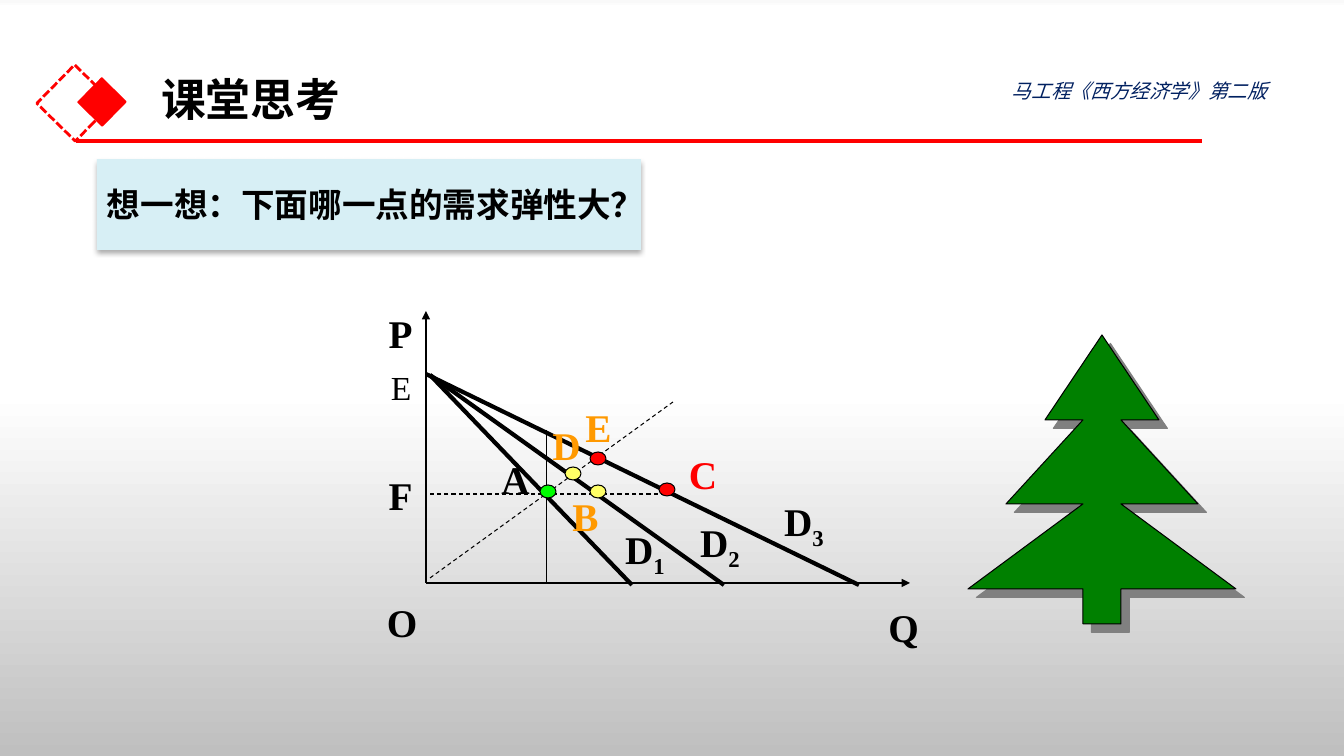
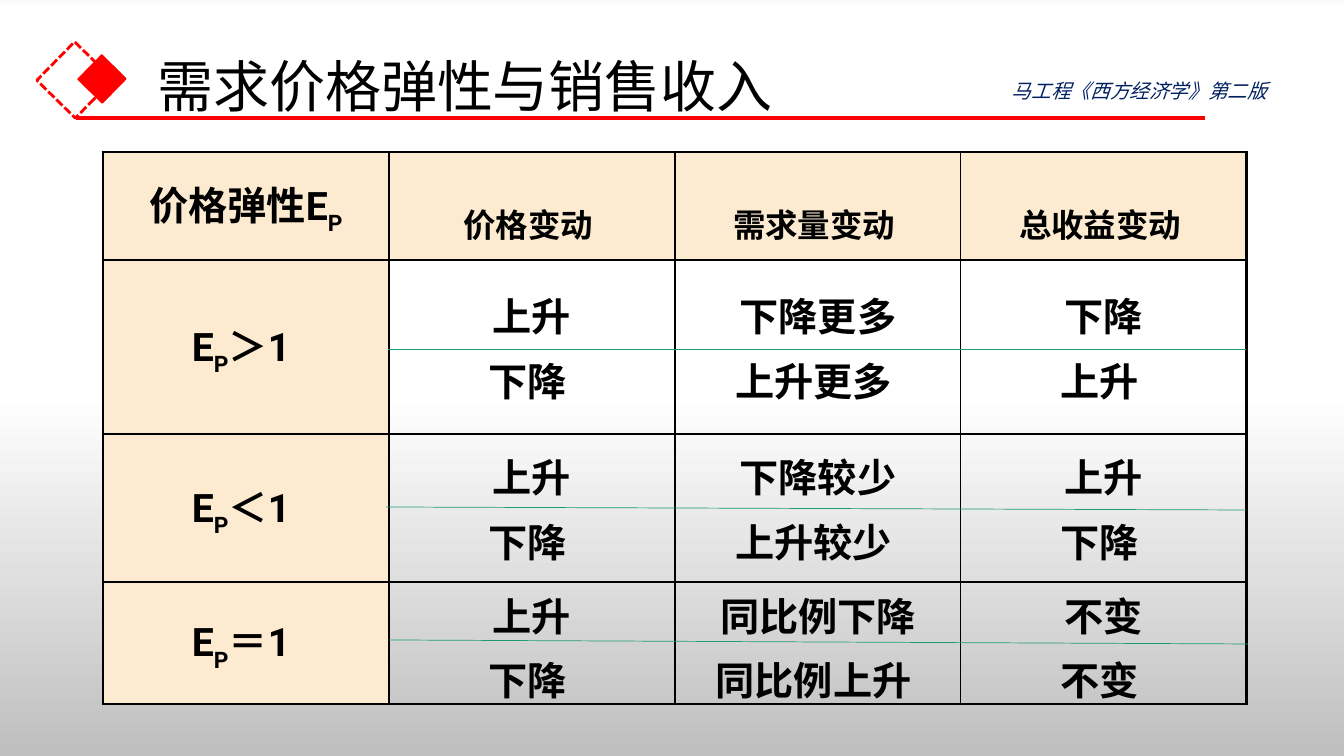
import lxml.etree
import pptx
import pptx.dml.color
import pptx.enum.dml
import pptx.enum.shapes
import pptx.enum.text
import pptx.oxml.ns
import pptx.util

PX = 914400 / 100.8
COLORS = {
    "black": "000000", "red": "FF0000", "orange": "FF9900", "yellow": "FFFF66",
    "lime": "00FF00", "tree": "008000", "tree shadow": "808080", "navy": "002060",
    "question": "D7EFF5", "cream": "FCEBD1", "divider": "1D9A78",
}
BACKDROP = [(0, "F9F9F9"), (1, "FFFFFF"), (52, "FFFFFF"), (100, "BFBFBF")]
HAN, SERIF, TABLE_FONT = "Noto Sans CJK SC", "Times New Roman", "Roboto"
SHAPE = pptx.enum.shapes.MSO_SHAPE
DASH = pptx.enum.dml.MSO_LINE
ALIGN = pptx.enum.text.PP_ALIGN
ANCHOR = pptx.enum.text.MSO_ANCHOR
Pt = pptx.util.Pt


def px(*lengths):
    return [pptx.util.Emu(round(length * PX)) for length in lengths]


def rgb(name):
    return pptx.dml.color.RGBColor.from_string(COLORS[name])


def sub(parent, tag, **attributes):
    """Append a child element in the DrawingML namespace."""
    return lxml.etree.SubElement(parent, pptx.oxml.ns.qn("a:" + tag), attributes)


def write(paragraph, pieces, size, font=HAN, color="black", bold=False,
          italic=False, align=ALIGN.LEFT, drop=-25):
    """Fill a paragraph; every second piece is a subscript lowered by drop percent."""
    paragraph.alignment = align
    for index, piece in enumerate(pieces):
        if not piece:
            continue
        run = paragraph.add_run()
        run.text = piece
        run.font.size, run.font.name = Pt(size), font
        run.font.bold, run.font.italic = bold, italic
        run.font.color.rgb = rgb(color)
        properties = run.font._element
        if index % 2:
            properties.set("baseline", str(drop * 1000))
        sub(properties, "ea", typeface=HAN)


def text_box(slide, box, pieces, size, wrap=True, anchor=ANCHOR.TOP, **style):
    frame = slide.shapes.add_textbox(*px(*box)).text_frame
    frame.word_wrap = wrap
    frame.vertical_anchor = anchor
    write(frame.paragraphs[0], pieces, size, **style)


def paint(shape, fill=None, line=None, width=0.75, dash=None):
    shape.shadow.inherit = False
    if fill:
        shape.fill.solid()
        shape.fill.fore_color.rgb = rgb(fill)
    else:
        shape.fill.background()
    if line:
        shape.line.color.rgb = rgb(line)
        shape.line.width = Pt(width)
        shape.line.dash_style = dash
    else:
        shape.line.fill.background()
    return shape


def cast_shadow(shape, color, opacity, blur, distance, angle):
    effects = shape._element.spPr.find(pptx.oxml.ns.qn("a:effectLst"))
    shadow = sub(effects, "outerShdw", blurRad=str(Pt(blur)), dist=str(Pt(distance)),
                 dir=str(angle * 60000), algn="ctr", rotWithShape="0")
    tint = sub(shadow, "srgbClr", val=COLORS[color])
    sub(tint, "alpha", val=str(opacity * 1000))


def draw_line(slide, start, end, width, color="black", dash=None, arrow=False):
    connector = slide.shapes.add_connector(
        pptx.enum.shapes.MSO_CONNECTOR.STRAIGHT, *px(*start, *end))
    connector.line.color.rgb = rgb(color)
    connector.line.width = Pt(width)
    connector.line.dash_style = dash
    if arrow:
        sub(connector.line._get_or_add_ln(), "tailEnd", type="triangle")
    sub(connector._element.spPr, "effectLst")


def set_backdrop(master):
    fill = master.background.fill
    fill.gradient()
    fill.gradient_angle = 270
    stops = master.element.find(".//" + pptx.oxml.ns.qn("a:gsLst"))
    for stop in list(stops):
        stops.remove(stop)
    for position, color in BACKDROP:
        sub(sub(stops, "gs", pos=str(position * 1000)), "srgbClr", val=color)


def add_header(slide, title, title_box, rule_right, rule_y, size, **style):
    """Place the title, the two diamonds above the red rule, and the book name."""
    heading = slide.shapes.title
    heading.left, heading.top, heading.width, heading.height = px(*title_box)
    frame = heading.text_frame
    frame.auto_size = pptx.enum.text.MSO_AUTO_SIZE.NONE
    frame.word_wrap = True
    frame.vertical_anchor = ANCHOR.MIDDLE
    write(frame.paragraphs[0], [title], size, **style)
    for left, rise, side, fill, width, dash in (
            (48, 65, 54, None, 2, DASH.SQUARE_DOT), (85, 56, 34, "red", 1, None)):
        diamond = slide.shapes.add_shape(
            SHAPE.RECTANGLE, *px(left, rule_y - rise, side, side))
        paint(diamond, fill, "red", width, dash).rotation = 314.5
    draw_line(slide, (76, rule_y), (rule_right, rule_y), 2.25, "red")
    text_box(slide, (1002, 74, 327, 34), ["马工程《西方经济学》第二版"], 14,
             color="navy", italic=True)


def add_question(slide, box):
    question = paint(slide.shapes.add_shape(SHAPE.RECTANGLE, *px(*box)), "question")
    cast_shadow(question, "black", 32, 3.5, 2.2, 90)
    frame = question.text_frame
    frame.word_wrap = True
    frame.margin_right = 0
    frame.vertical_anchor = ANCHOR.MIDDLE
    write(frame.paragraphs[0], ["想一想：下面哪一点的需求弹性大？"], 24, bold=True)


def add_demand_chart(slide, left, top, width, height):
    """Draw the price and quantity axes in the box, with the curves inside."""
    def at(x, y):
        return left + x, top + y

    def label(pieces, x, y, box_width, color="black", anchor=ANCHOR.TOP):
        text_box(slide, (*at(x, y), box_width, 57), pieces, 28, anchor=anchor,
                 font=SERIF, color=color, bold=True, align=ALIGN.CENTER)

    origin = at(0, height)
    draw_line(slide, origin, at(0, 0), 1.5, arrow=True)
    draw_line(slide, origin, at(width, height), 1.5, arrow=True)
    for start_x, start_y, foot in ((0, 63, 433), (4, 64, 206), (4, 64, 298)):
        draw_line(slide, at(start_x, start_y), at(foot, height + 2), 3)
    draw_line(slide, at(239, 183), at(4, 183), 0.75, dash=DASH.DASH)
    draw_line(slide, at(4, 267), at(247, 91), 0.75, dash=DASH.DASH)
    draw_line(slide, at(121, 119), at(121, height), 0.75)

    for pieces, x, y, box_width in (
            ("Q", 448, 287, 59), ("P", -55, -7, 59), ("O", -54, 282, 60),
            ("A", 60, 139, 59), ("F", -52, 155, 53)):
        label([pieces], x, y, box_width)
    for number, x, y in (("1", 181, 213), ("2", 256, 206), ("3", 340, 185)):
        label(["D", number], x, y, 76, anchor=ANCHOR.MIDDLE)
    label(["C"], 239, 134, 76, "red", ANCHOR.MIDDLE)
    for letter, x, y in (("B", 130, 176), ("D", 111, 105), ("E", 143, 87)):
        label([letter], x, y, 59, "orange")
    text_box(slide, (*at(-45, 51), 41, 50), ["E"], 24, wrap=False, font=SERIF)

    for color, x, y in (("lime", 114, 174), ("yellow", 164, 174), ("red", 233, 172),
                        ("yellow", 139, 156), ("red", 164, 141)):
        paint(slide.shapes.add_shape(SHAPE.OVAL, *px(*at(x, y), 16, 13)), color, "black")


def add_tree(slide, left, top, width, height):
    """Draw three tiers, 3, 5 and 7 units to each side, on a trunk of one unit."""
    unit, tier, center = width / 14, height * 0.293, left + width / 2
    side = [(0, 0)]
    for level, reach in enumerate((3, 5, 7), 1):
        side += [(reach * unit, level * tier), (unit, level * tier)]
    side.append((unit, height))
    outline = [(center + x, top + y) for x, y in side]
    outline += [(center - x, top + y) for x, y in reversed(side[1:])]
    builder = slide.shapes.build_freeform(*outline[0], scale=PX)
    builder.add_line_segments(outline[1:], close=True)
    tree = paint(builder.convert_to_shape(), "tree", "black")
    cast_shadow(tree, "tree shadow", 100, 0, 8.5, 45)


def set_borders(cell, row, column, last_row, last_column):
    outer = {"lnL": column == 0, "lnR": column == last_column,
             "lnT": row == 0, "lnB": row == last_row}
    for tag, is_outer in outer.items():
        edge = sub(cell._tc.get_or_add_tcPr(), tag, w=str(Pt(2.25 if is_outer else 1)))
        sub(sub(edge, "solidFill"), "srgbClr", val=COLORS["black"])


def add_revenue_table(slide, left, top, column_width, row_heights):
    changes = [
        ("＞1 ", ("上升", "下降 "), ("下降更多", "上升更多 "), ("下降", "上升 ")),
        ("＜1 ", ("上升", "下降 "), ("下降较少", "上升较少 "), ("上升", "下降 ")),
        ("＝1 ", ("上升", "下降 "), ("同比例下降", "同比例上升 "), ("不变", "不变 ")),
    ]
    # Each cell is a list of paragraphs, each paragraph a list of pieces
    rows = [[[["价格弹性E", "P"]], [["", "价格变动 "]],
             [["", "需求量变动 "]], [["", "总收益变动 "]]]]
    for relation, *cells in changes:
        rows.append([[["E", "P", relation]]] + [[[line] for line in cell] for cell in cells])

    table = slide.shapes.add_table(
        len(rows), len(rows[0]),
        *px(left, top, column_width * len(rows[0]), sum(row_heights))).table
    table.first_row = table.horz_banding = False
    for column in table.columns:
        column.width = px(column_width)[0]
    for r, (row, height) in enumerate(zip(rows, row_heights)):
        table.rows[r].height = px(height)[0]
        for c, lines in enumerate(row):
            cell = table.cell(r, c)
            column_head = r == 0 and c > 0
            set_borders(cell, r, c, len(rows) - 1, len(row) - 1)
            if r == 0 or c == 0:
                cell.fill.solid()
                cell.fill.fore_color.rgb = rgb("cream")
            else:
                cell.fill.background()
            cell.margin_left, cell.margin_right = px(10, 10)
            cell.margin_top, cell.margin_bottom = px(4, 4)
            cell.vertical_anchor = ANCHOR.TOP if column_head else ANCHOR.MIDDLE
            size = 40 if column_head else 28
            frame = cell.text_frame
            for index, pieces in enumerate(lines):
                paragraph = frame.add_paragraph() if index else frame.paragraphs[0]
                paragraph.space_before = Pt(size * 0.2)
                write(paragraph, pieces, size, font=TABLE_FONT, bold=True,
                      align=ALIGN.CENTER, drop=-30)


def build_question_slide(slide):
    add_header(slide, "课堂思考", (151, 66, 295, 65), 1202, 141, 32, bold=True)
    add_question(slide, (97, 159, 544, 91))
    add_demand_chart(slide, 426, 311, 484, 272)
    add_tree(slide, 968, 335, 268, 289)


def build_revenue_slide(slide):
    add_header(slide, "需求价格弹性与销售收入", (0, 45, 930, 81), 1205, 118, 40,
               align=ALIGN.CENTER)
    add_revenue_table(slide, 103, 152, 286, [108, 174, 148, 122])
    for start, end in (((388, 349), (1246, 349)), ((386, 507), (1246, 510)),
                       ((389, 640), (1248, 644))):
        draw_line(slide, start, end, 0.5, "divider")


def main():
    presentation = pptx.Presentation()
    presentation.slide_width, presentation.slide_height = px(1344, 756)
    set_backdrop(presentation.slide_master)
    title_only = presentation.slide_layouts[5]
    for build in (build_question_slide, build_revenue_slide):
        build(presentation.slides.add_slide(title_only))
    presentation.save("out.pptx")


if __name__ == "__main__":
    main()
